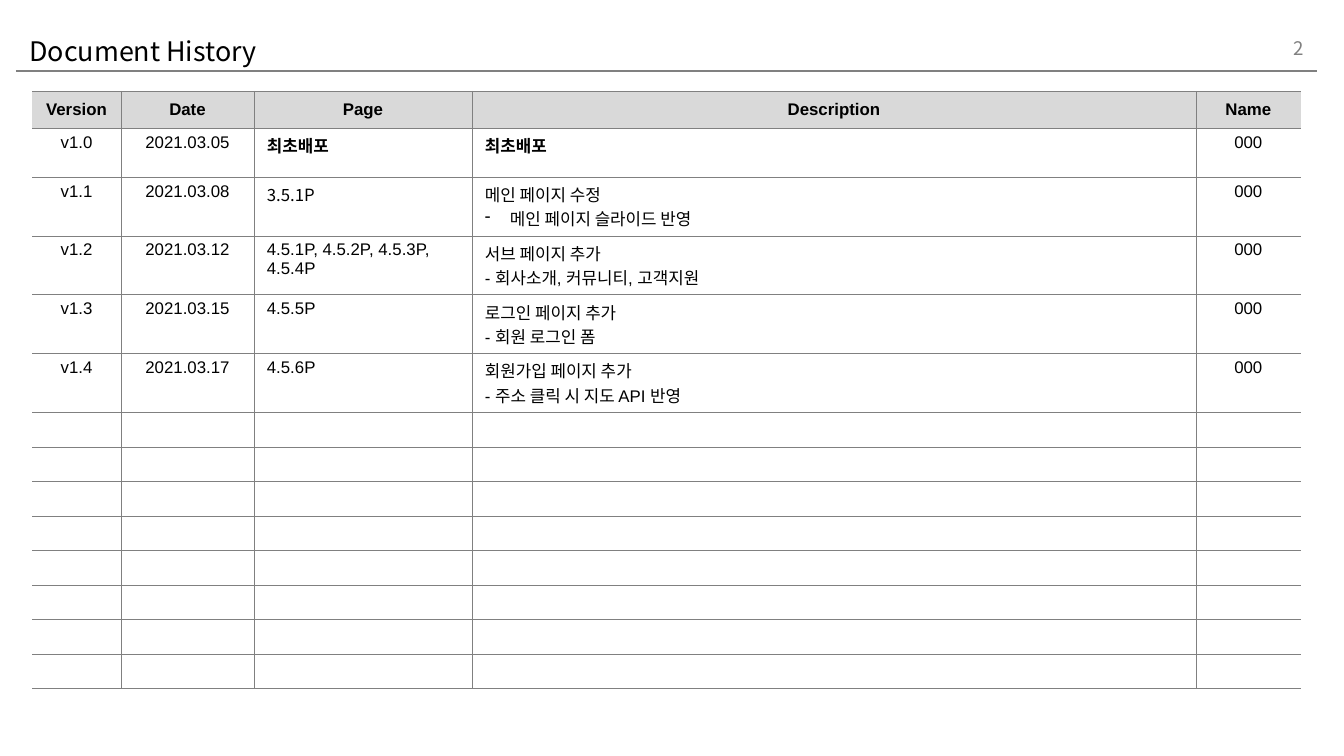
from lxml import etree
from pptx import Presentation
from pptx import util as u
from pptx.dml.color import RGBColor
from pptx.enum import shapes, text
from pptx.oxml import ns

PX = 914400 / 134.4
SANS, KOREAN = "Arial", "Noto Sans CJK KR"
GRAY, BLACK, WHITE, HEADER_FILL = "808080", "000000", "FFFFFF", "D9D9D9"
CENTER, LEFT, RIGHT = text.PP_ALIGN.CENTER, text.PP_ALIGN.LEFT, text.PP_ALIGN.RIGHT
TOP, MIDDLE = text.MSO_ANCHOR.TOP, text.MSO_ANCHOR.MIDDLE

COLUMNS = [89, 133, 218, 724, 105]
ROWS = [37, 49, 58, 58, 58, 59] + [35, 34] * 4
HEADERS = ["Version", "Date", "Page", "Description", "Name"]
HISTORY = [
    ["v1.0", "2021.03.05", "최초배포", "최초배포", "000"],
    ["v1.1", "2021.03.08", "3.5.1P", "메인 페이지 수정\n메인 페이지 슬라이드 반영", "000"],
    ["v1.2", "2021.03.12", "4.5.1P, 4.5.2P, 4.5.3P, 4.5.4P",
     "서브 페이지 추가\n- 회사소개, 커뮤니티, 고객지원", "000"],
    ["v1.3", "2021.03.15", "4.5.5P", "로그인 페이지 추가\n- 회원 로그인 폼", "000"],
    ["v1.4", "2021.03.17", "4.5.6P", "회원가입 페이지 추가\n- 주소 클릭 시 지도 API 반영", "000"],
]
BOLD_CELLS = {(1, 2), (1, 3)}
KOREAN_FONT_CELL = (2, 2)
BULLET_CELL = (2, 3)


def px(n):
    return u.Emu(round(n * PX))


def rgb(value):
    return RGBColor.from_string(value)


def assign(obj, values):
    for name, value in values.items():
        setattr(obj, name, value)


def sub(parent, tag, **attrs):
    return etree.SubElement(parent, ns.qn(tag), attrs)


def write(p, words, size, font=SANS, color=BLACK, bold=False, align=LEFT):
    p.alignment = align
    r = p.add_run()
    r.text = words
    assign(r.font, {"size": u.Pt(size), "name": font, "bold": bold})
    r.font.color.rgb = rgb(color)
    sub(r.font._element, "a:ea", typeface=KOREAN)


def add_title(slide, words):
    sp = slide.shapes.title
    assign(sp, {"left": px(16), "top": px(31), "width": px(1079), "height": px(40)})
    tf = sp.text_frame
    assign(tf, {"vertical_anchor": MIDDLE, "auto_size": text.MSO_AUTO_SIZE.NONE,
                "word_wrap": True})
    write(tf.paragraphs[0], words, 14.4, KOREAN)


def add_rule(slide, left, right, y):
    line = slide.shapes.add_connector(shapes.MSO_CONNECTOR.STRAIGHT,
                                      px(left), px(y), px(right), px(y))
    line.line.color.rgb = rgb(GRAY)
    line.line.width = u.Pt(1)
    sub(line._element.spPr, "a:effectLst")


def add_page_number(slide, number):
    tf = slide.shapes.add_textbox(px(1236), px(28), px(81), px(40)).text_frame
    assign(tf, {"word_wrap": True, "vertical_anchor": MIDDLE})
    write(tf.paragraphs[0], number, 10, KOREAN, GRAY, align=RIGHT)


def set_borders(cell, sides):
    tcPr = cell._tc.get_or_add_tcPr()
    for i, side in enumerate("LRTB"):
        ln = etree.Element(ns.qn("a:ln" + side), w=str(u.Pt(0.25)))
        if side in sides:
            sub(sub(ln, "a:solidFill"), "a:srgbClr", val=GRAY)
        else:
            sub(ln, "a:noFill")
        tcPr.insert(i, ln)


def set_bullet(p):
    pPr = p._p.get_or_add_pPr()
    pPr.set("marL", str(px(25)))
    pPr.set("indent", str(-px(25)))
    sub(pPr, "a:buChar", char="-")


def fill_cell(cell, row, col, words):
    header = row == 0
    assign(cell, {"vertical_anchor": MIDDLE if header else TOP,
                  "margin_left": px(13), "margin_right": px(13),
                  "margin_top": px(5), "margin_bottom": px(5)})
    cell.fill.solid()
    cell.fill.fore_color.rgb = rgb(HEADER_FILL if header else WHITE)
    set_borders(cell, "TB" + "L" * (col > 0) + "R" * (col < len(COLUMNS) - 1))
    tf = cell.text_frame
    if not words:
        sub(tf.paragraphs[0]._p, "a:endParaRPr", sz="900")
        return
    font = KOREAN if (row, col) == KOREAN_FONT_CELL else SANS
    align = LEFT if col in (2, 3) and not header else CENTER
    for i, line in enumerate(words.split("\n")):
        p = tf.add_paragraph() if i else tf.paragraphs[0]
        write(p, line, 9, font, bold=header or (row, col) in BOLD_CELLS, align=align)
        if i and (row, col) == BULLET_CELL:
            set_bullet(p)


def add_history_table(slide):
    frame = slide.shapes.add_table(len(ROWS), len(COLUMNS), px(32), px(91),
                                   px(sum(COLUMNS)), px(sum(ROWS)))
    table = frame.table
    assign(table, {"first_row": False, "horz_banding": False})
    for column, width in zip(table.columns, COLUMNS):
        column.width = px(width)
    for row, height in zip(table.rows, ROWS):
        row.height = px(height)
    entries = [HEADERS] + HISTORY
    entries += [[""] * len(COLUMNS)] * (len(ROWS) - len(entries))
    for r, entry in enumerate(entries):
        for c, words in enumerate(entry):
            fill_cell(table.cell(r, c), r, c, words)


def main():
    prs = Presentation()
    assign(prs, {"slide_width": px(1344), "slide_height": px(756)})
    slide = prs.slides.add_slide(prs.slide_layouts[5])
    add_rule(slide, 16, 1317, 71)
    add_title(slide, "Document History")
    add_history_table(slide)
    add_page_number(slide, "2")
    prs.save("out.pptx")


main()
